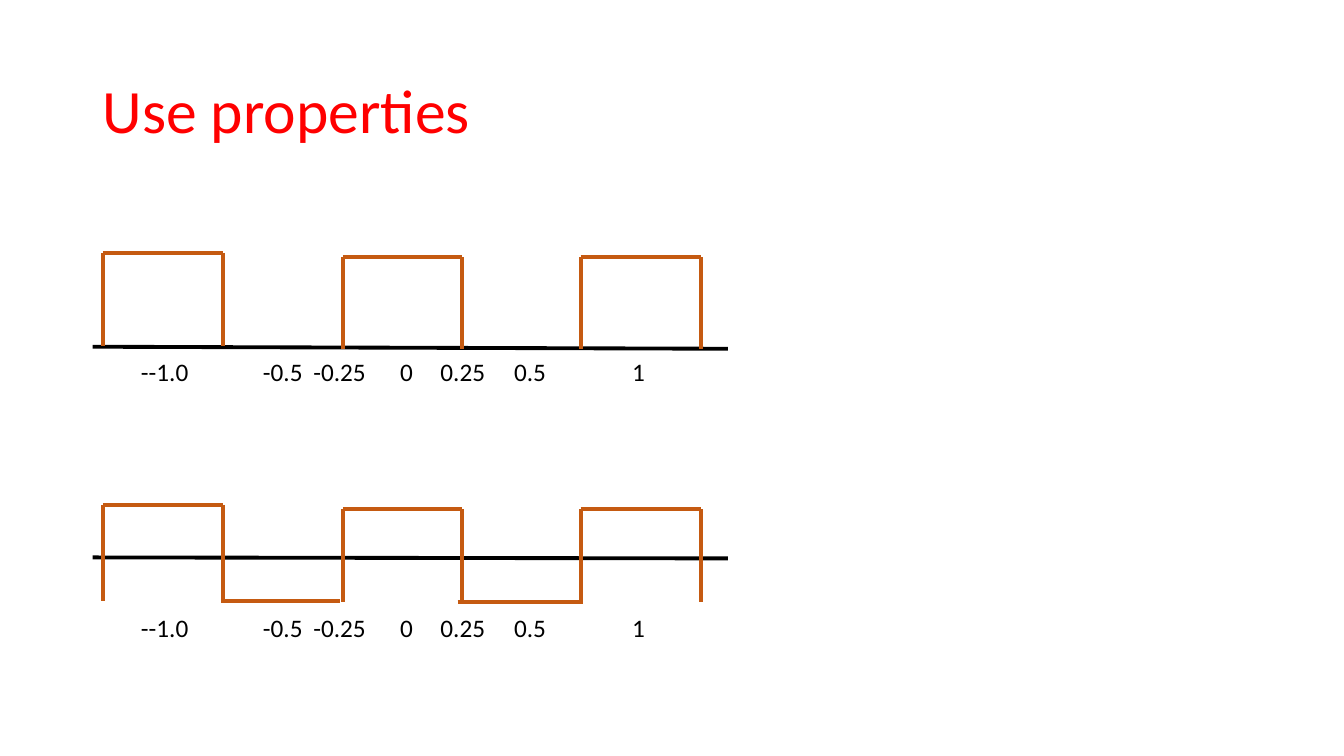
from lxml import etree
from pptx import Presentation
from pptx import util as u
from pptx.dml.color import RGBColor
from pptx.enum import shapes, text
from pptx.oxml.ns import qn

COLORS = {"title": "FF0000", "axis": "000000", "wave": "C55A11", "label": "000000"}
PULSE_SPANS = [(1.02, 2.21), (3.4, 4.58), (5.76, 6.95)]
TICK_LABELS = ["--1.0", "-0.5", "-0.25", "0", "0.25", "0.5", "1"]
TICK_STOPS = [1.21, 1.71, 2.57, 2.97, 3.7, 4.87]

# Pulse levels are (top, bottom); troughs are (left, right, level).
WAVES = [
    {"axis": (5.53, 5.54), "label_top": 6.03,
     "pulses": [(5.01, 5.96), (5.05, 5.97), (5.05, 5.97)],
     "troughs": [(2.19, 3.37, 5.96), (4.54, 5.78, 5.97)]},
    {"axis": (3.44, 3.46), "label_top": 3.49,
     "pulses": [(2.51, 3.43), (2.55, 3.46), (2.55, 3.46)],
     "troughs": []},
]


class WaveSlide:
    font = "Calibri"
    line_width = u.Pt(2.75)

    def __init__(self, presentation):
        self.slide = presentation.slides.add_slide(presentation.slide_layouts[5])

    def add_run(self, paragraph, words, size, color):
        run = paragraph.add_run()
        run.text = words
        run.font.name = self.font
        run.font.size = u.Pt(size)
        run.font.color.rgb = RGBColor.from_string(COLORS[color])

    def add_title(self, words):
        title = self.slide.shapes.title
        title.left, title.top = u.Inches(0.92), u.Inches(0.4)
        title.width, title.height = u.Inches(11.5), u.Inches(1.45)
        title.text_frame.vertical_anchor = text.MSO_ANCHOR.MIDDLE
        paragraph = title.text_frame.paragraphs[0]
        paragraph.alignment = text.PP_ALIGN.LEFT
        paragraph.line_spacing = 0.9
        self.add_run(paragraph, words, 44, "title")

    def add_line(self, group, start, end, color):
        points = [u.Inches(value) for value in (*start, *end)]
        line = group.shapes.add_connector(shapes.MSO_CONNECTOR.STRAIGHT, *points)
        line.line.color.rgb = RGBColor.from_string(COLORS[color])
        line.line.width = self.line_width
        properties = line._element.find(qn("p:spPr"))
        etree.SubElement(properties, qn("a:effectLst"))

    def add_tick_labels(self, group, top):
        """Put all tick labels in one paragraph, spaced by tab stops."""
        box = group.shapes.add_textbox(
            u.Inches(1.3), u.Inches(top), u.Inches(5.38), u.Inches(0.4))
        box.text_frame.word_wrap = True
        paragraph = box.text_frame.paragraphs[0]
        tabs = etree.SubElement(paragraph._p.get_or_add_pPr(), qn("a:tabLst"))
        for stop in TICK_STOPS:
            etree.SubElement(tabs, qn("a:tab"), pos=str(u.Inches(stop)), algn="l")
        self.add_run(paragraph, "\t".join(TICK_LABELS), 18, "label")

    def add_wave(self, axis, label_top, pulses, troughs):
        group = self.slide.shapes.add_group_shape()
        self.add_line(group, (0.92, axis[0]), (7.22, axis[1]), "axis")
        for (left, right), (top, bottom) in zip(PULSE_SPANS, pulses):
            self.add_line(group, (left, top), (left, bottom), "wave")
            self.add_line(group, (left, top), (right, top), "wave")
            self.add_line(group, (right, top), (right, bottom), "wave")
        for left, right, level in troughs:
            self.add_line(group, (left, level), (right, level), "wave")
        self.add_tick_labels(group, label_top)


def main():
    presentation = Presentation()
    presentation.slide_width = u.Inches(13.33)
    presentation.slide_height = u.Inches(7.5)
    slide = WaveSlide(presentation)
    slide.add_title("Use properties")
    for wave in WAVES:
        slide.add_wave(**wave)
    presentation.save("out.pptx")


if __name__ == "__main__":
    main()
